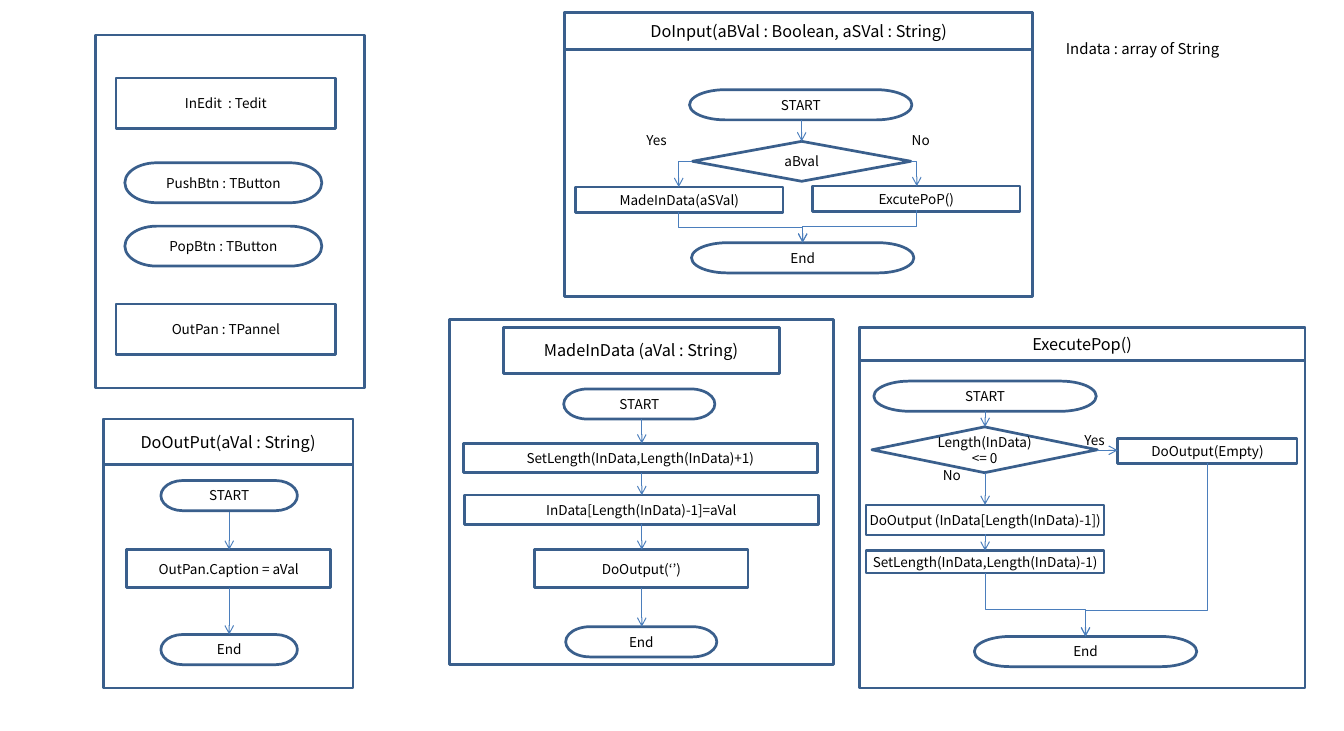
"""Build a slide of flowcharts for the input, output and pop routines."""
import lxml.etree
import pptx
import pptx.dml.color
import pptx.enum.shapes
import pptx.enum.text
import pptx.oxml.ns
import pptx.util

Inches = pptx.util.Inches
qualified = pptx.oxml.ns.qn
COLORS = {"outline": "3A5F8C", "arrow": "4B7EBC", "text": "000000"}
FONT = "Noto Sans CJK KR"
SHAPES = pptx.enum.shapes.MSO_SHAPE
CONNECTORS = pptx.enum.shapes.MSO_CONNECTOR


class FlowchartSlide:
    """Hold the style and the slide, and draw flowchart elements."""

    def __init__(self, slide):
        self.slide = slide

    def color(self, name):
        return pptx.dml.color.RGBColor.from_string(COLORS[name])

    def add_text(self, text_frame, text, size, alignment):
        for index, line in enumerate(text.split("\n")):
            paragraph = text_frame.add_paragraph() if index else text_frame.paragraphs[0]
            paragraph.alignment = alignment
            run = paragraph.add_run()
            run.text = line
            run.font.name = FONT
            run.font.size = pptx.util.Pt(size)
            run.font.color.rgb = self.color("text")

    def box(self, left, top, width, height, text="", kind=SHAPES.RECTANGLE, size=10):
        shape = self.slide.shapes.add_shape(
            kind, Inches(left), Inches(top), Inches(width), Inches(height))
        shape.shadow.inherit = False
        shape.fill.background()
        shape.line.color.rgb = self.color("outline")
        shape.line.width = pptx.util.Pt(2)
        frame = shape.text_frame
        frame.margin_left = frame.margin_right = frame.margin_top = frame.margin_bottom = 0
        frame.vertical_anchor = pptx.enum.text.MSO_ANCHOR.MIDDLE
        frame.word_wrap = False
        if text:
            self.add_text(frame, text, size, pptx.enum.text.PP_ALIGN.CENTER)

    def terminator(self, left, top, width, text, height=0.31):
        self.box(left, top, width, height, text, SHAPES.FLOWCHART_TERMINATOR)

    def decision(self, left, top, width, height, text):
        self.box(left, top, width, height, text, SHAPES.FLOWCHART_DECISION)

    def panel(self, left, top, width, height, title, title_height):
        self.box(left, top, width, height)
        self.box(left, top, width, title_height, title, size=12)

    def label(self, left, top, width, text, size=10):
        label = self.slide.shapes.add_textbox(
            Inches(left), Inches(top), Inches(width), Inches(0.27))
        label.text_frame.word_wrap = True
        self.add_text(label.text_frame, text, size, pptx.enum.text.PP_ALIGN.LEFT)

    def arrow(self, start, end, kind=CONNECTORS.STRAIGHT):
        connector = self.slide.shapes.add_connector(
            kind, *(Inches(value) for value in (*start, *end)))
        connector.line.color.rgb = self.color("arrow")
        connector.line.width = pptx.util.Pt(0.75)
        properties = connector._element.spPr
        outline = properties.find(qualified("a:ln"))
        lxml.etree.SubElement(outline, qualified("a:tailEnd"), type="arrow")
        lxml.etree.SubElement(properties, qualified("a:effectLst"))
        return properties

    def corner(self, start, end):
        properties = self.arrow(start, end, CONNECTORS.ELBOW)
        properties.find(qualified("a:prstGeom")).set("prst", "bentConnector2")

    def merge(self, start, end, bend):
        """Go down, across at the bend share of the height, then down."""
        center_x, center_y = (start[0] + end[0]) / 2, (start[1] + end[1]) / 2
        half_height = abs(end[0] - start[0]) / 2
        rightward = end[0] > start[0]
        half_width = (end[1] - start[1]) / 2 * (-1 if rightward else 1)
        properties = self.arrow(
            (center_x - half_width, center_y - half_height),
            (center_x + half_width, center_y + half_height), CONNECTORS.ELBOW)
        angle = 270 if rightward else 90
        properties.find(qualified("a:xfrm")).set("rot", str(angle * 60000))
        geometry = properties.find(qualified("a:prstGeom"))
        adjustments = geometry.find(qualified("a:avLst"))
        if adjustments is None:
            adjustments = lxml.etree.SubElement(geometry, qualified("a:avLst"))
        lxml.etree.SubElement(
            adjustments, qualified("a:gd"), name="adj1", fmla=f"val {round(bend * 100000)}")


presentation = pptx.Presentation()
presentation.slide_width = Inches(13.78)
presentation.slide_height = Inches(7.5)
chart = FlowchartSlide(presentation.slides.add_slide(presentation.slide_layouts[6]))

chart.box(0.98, 0.36, 2.76, 3.62)
chart.box(4.61, 3.28, 3.94, 3.54)
chart.box(5.16, 3.36, 2.83, 0.47, "MadeInData (aVal : String)", size=12)
for panel in (
    (8.81, 3.36, 4.57, 3.7, "ExecutePop()", 0.34),
    (5.79, 0.13, 4.8, 2.91, "DoInput(aBVal : Boolean, aSVal : String)", 0.38),
    (1.06, 4.3, 2.56, 2.76, "DoOutPut(aVal : String)", 0.47),
):
    chart.panel(*panel)

for step in (
    (1.19, 0.8, 2.25, 0.52, "InEdit  : Tedit"),
    (1.19, 3.12, 2.25, 0.52, "OutPan : TPannel"),
    (1.3, 5.64, 2.09, 0.39, "OutPan.Caption = aVal"),
    (5.9, 1.92, 2.13, 0.26, "MadeInData(aSVal)"),
    (8.33, 1.91, 2.13, 0.26, "ExcutePoP()"),
    (4.75, 4.55, 3.63, 0.3, "SetLength(InData,Length(InData)+1)"),
    (4.76, 5.08, 3.63, 0.3, "InData[Length(InData)-1]=aVal"),
    (5.48, 5.64, 2.19, 0.39, "DoOutput(‘’)"),
    (11.46, 4.5, 1.84, 0.26, "DoOutput(Empty)"),
    (8.88, 5.18, 2.44, 0.31, "DoOutput (InData[Length(InData)-1])"),
    (8.88, 5.65, 2.44, 0.23, "SetLength(InData,Length(InData)-1)"),
):
    chart.box(*step)

for top, button in ((1.67, "PushBtn : TButton"), (2.32, "PopBtn : TButton")):
    chart.terminator(1.28, top, 2.02, button, 0.41)
for width, start, end in (
    (1.4, (1.65, 4.93), (1.65, 6.51)),
    (1.55, (5.78, 3.99), (5.8, 6.43)),
    (2.28, (7.07, 0.92), (7.09, 2.49)),
    (2.28, (8.96, 3.91), (9.99, 6.53)),
):
    chart.terminator(*start, width, "START")
    chart.terminator(*end, width, "End")

chart.decision(7.1, 1.45, 2.24, 0.41, "aBval")
chart.decision(8.94, 4.38, 2.31, 0.47, "Length(InData)\n<= 0")

for left, top, width, answer in (
    (6.53, 1.31, 0.44, "Yes"), (9.25, 1.31, 0.46, "No"),
    (11.02, 4.38, 0.44, "Yes"), (9.57, 4.74, 0.46, "No"),
):
    chart.label(left, top, width, answer)
chart.label(10.83, 0.36, 2.72, "Indata : array of String", 11)

for center, spans in (
    (2.35, ((5.25, 5.64), (6.03, 6.51))),
    (6.58, ((4.3, 4.55), (4.85, 5.08), (5.38, 5.64), (6.03, 6.43))),
    (8.22, ((1.23, 1.45),)),
    (10.1, ((4.22, 4.38), (4.85, 5.18), (5.48, 5.65))),
):
    for top, bottom in spans:
        chart.arrow((center, top), (center, bottom))
chart.arrow((11.25, 4.62), (11.46, 4.62))
chart.corner((7.1, 1.66), (6.96, 1.92))
chart.corner((9.34, 1.66), (9.4, 1.91))
chart.merge((6.96, 2.18), (8.23, 2.49), 0.5)
chart.merge((9.4, 2.16), (8.23, 2.49), 0.5)
chart.merge((10.1, 5.88), (11.13, 6.53), 0.58)
chart.merge((12.38, 4.75), (11.13, 6.53), 0.85)

presentation.save("out.pptx")
